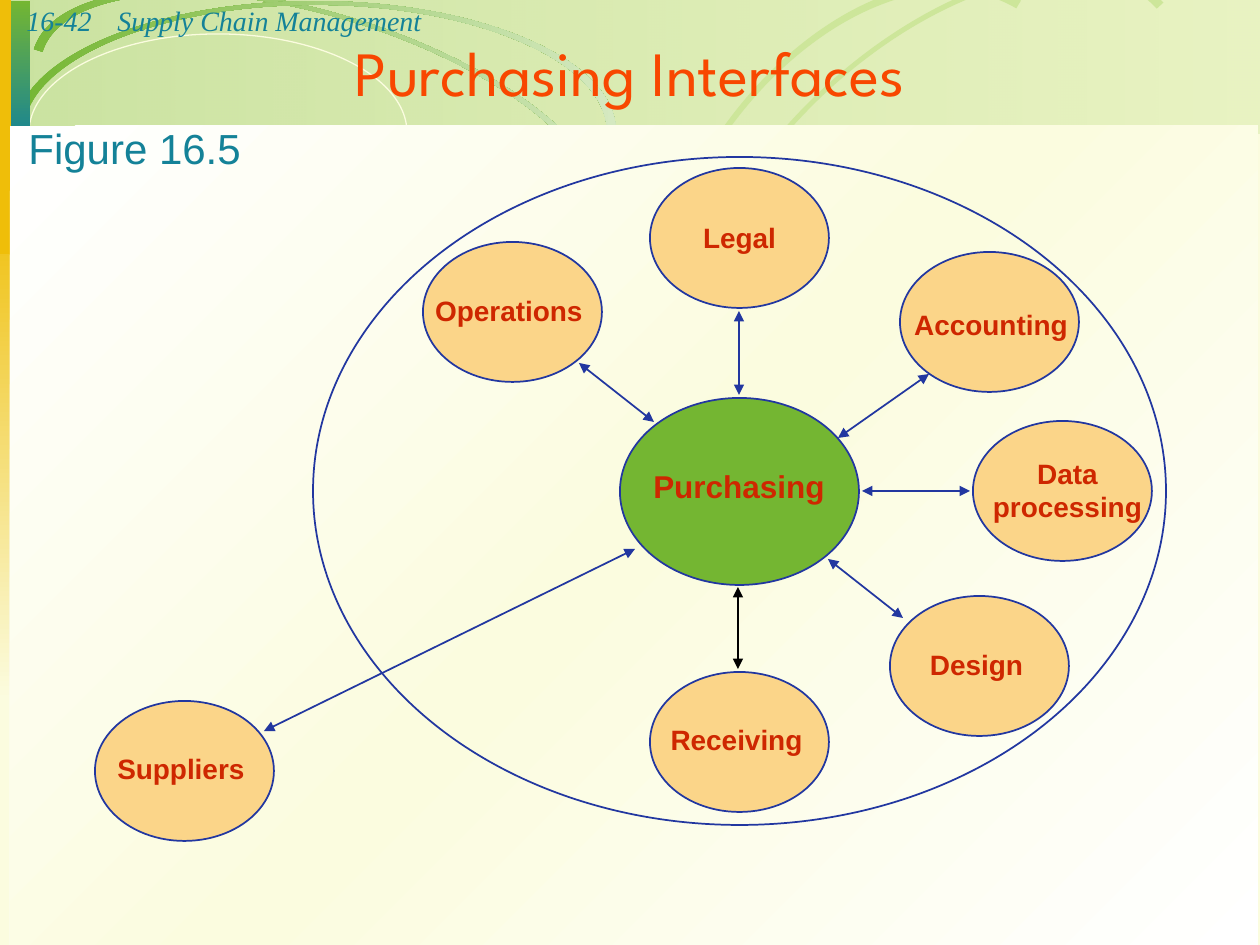
from dataclasses import dataclass

from lxml import etree
from pptx import Presentation
from pptx.dml.color import RGBColor
from pptx.enum.shapes import MSO_CONNECTOR, MSO_SHAPE
from pptx.enum.text import MSO_ANCHOR, MSO_AUTO_SIZE, PP_ALIGN
from pptx.oxml.ns import qn
from pptx.util import Emu, Pt

RECT, OVAL = MSO_SHAPE.RECTANGLE, MSO_SHAPE.OVAL
STRAIGHT = MSO_CONNECTOR.STRAIGHT
LEFT, CENTER = PP_ALIGN.LEFT, PP_ALIGN.CENTER
TOP, BOTTOM = MSO_ANCHOR.TOP, MSO_ANCHOR.BOTTOM
GROW, FIXED = MSO_AUTO_SIZE.SHAPE_TO_FIT_TEXT, MSO_AUTO_SIZE.NONE
EMU_PER_PX = 914400 / 126
KAPPA = 0.55
INNER_RATIO = 0.97


@dataclass(frozen=True)
class Theme:
    cream: str = "FBFCDF"
    white: str = "FFFFFF"
    black: str = "000000"
    green: str = "74B632"
    lime: str = "BCDD7B"
    mist: str = "D5E9C1"
    leaf: str = "CDE69A"
    pear: str = "CEDE73"
    teal: str = "148298"
    gold: str = "EFBE09"
    orange: str = "F84700"
    navy: str = "2237A0"
    peach: str = "FBD589"
    red: str = "CE2700"
    sans: str = "Arial"
    serif: str = "Times New Roman"
    display: str = "League Spartan"
    title_size: int = 36
    figure_size: int = 24
    hub_size: int = 18
    text_size: int = 16


def px(value):
    return Emu(round(value * EMU_PER_PX))


def blend(start, end):
    return [(0, start, 100), (100, end, 100)]


class Painter:
    def __init__(self, theme, slide):
        self.theme = theme
        self.slide = slide
        background = slide.background.fill
        background.solid()
        background.fore_color.rgb = RGBColor.from_string(theme.cream)

    def gradient(self, shape, stops, angle):
        shape.fill.gradient()
        grad = shape._element.spPr.find(qn("a:gradFill"))
        for child in list(grad):
            grad.remove(child)
        stop_list = etree.SubElement(grad, qn("a:gsLst"))
        for position, color, opacity in stops:
            stop = etree.SubElement(stop_list, qn("a:gs"), pos=str(position * 1000))
            clr = etree.SubElement(stop, qn("a:srgbClr"), val=color)
            if opacity < 100:
                etree.SubElement(clr, qn("a:alpha"), val=str(opacity * 1000))
        etree.SubElement(grad, qn("a:lin"), ang=str(angle * 60000), scaled="0")

    def paint(self, shape, fill=None, line=None, width=1, angle=0):
        shape.shadow.inherit = False
        if fill is None:
            shape.fill.background()
        elif isinstance(fill, str):
            shape.fill.solid()
            shape.fill.fore_color.rgb = RGBColor.from_string(fill)
        else:
            self.gradient(shape, fill, angle)
        if line:
            shape.line.color.rgb = RGBColor.from_string(line)
            shape.line.width = Pt(width)
        else:
            shape.line.fill.background()

    def shape(self, preset, box, **style):
        self.paint(self.slide.shapes.add_shape(preset, *map(px, box)), **style)

    def half_ring(self, box, rotation, **style):
        left, top, width, height = map(px, box)
        right, bottom = left + width, top + height
        builder = self.slide.shapes.build_freeform(left, top, scale=1.0)
        builder.add_line_segments([(right, top), (right, bottom), (left, bottom)])
        ring = builder.convert_to_shape()
        outline = ring._element.spPr.find(".//" + qn("a:path"))
        for step in list(outline):
            outline.remove(step)

        def add(command, *points):
            step = etree.SubElement(outline, qn(command))
            for x, y in points:
                etree.SubElement(step, qn("a:pt"), x=str(round((1 + x) * width / 2)),
                                 y=str(round((1 + y) * height / 2)))

        def arch(r, side):
            k = r * KAPPA
            add("a:cubicBezTo", (side * r, -k), (side * k, -r), (0, -r))
            add("a:cubicBezTo", (-side * k, -r), (-side * r, -k), (-side * r, 0))

        add("a:moveTo", (-INNER_RATIO, 0))
        arch(INNER_RATIO, -1)
        add("a:lnTo", (1, 0))
        arch(1, 1)
        add("a:close")
        ring.rotation = rotation
        self.paint(ring, **style)

    def text(self, box, lines, size, color, font, bold=False, italic=False,
             align=LEFT, anchor=TOP, wrap=False, fit=GROW):
        frame = self.slide.shapes.add_textbox(*map(px, box)).text_frame
        frame.word_wrap = wrap
        frame.auto_size = fit
        frame.vertical_anchor = anchor
        frame.text = lines
        for paragraph in frame.paragraphs:
            paragraph.alignment = align
            paragraph.font.size = Pt(size)
            paragraph.font.name = font
            paragraph.font.bold = bold
            paragraph.font.italic = italic
            paragraph.font.color.rgb = RGBColor.from_string(color)

    def node(self, box, fill, label, label_box, size):
        self.shape(OVAL, box, fill=fill, line=self.theme.navy)
        self.text(label_box, label, size, self.theme.red, self.theme.sans,
                  bold=True, align=CENTER)

    def arrow(self, start, end, color):
        link = self.slide.shapes.add_connector(STRAIGHT, *map(px, start + end))
        link.line.color.rgb = RGBColor.from_string(color)
        link.line.width = Pt(1)
        line = link.line._get_or_add_ln()
        for tip in ("a:headEnd", "a:tailEnd"):
            etree.SubElement(line, qn(tip), type="triangle")
        etree.SubElement(link._element.spPr, qn("a:effectLst"))


def draw_backdrop(painter):
    theme = painter.theme
    fade = blend(theme.green, theme.mist)
    painter.shape(RECT, (1, 0, 1260, 134),
                  fill=[(0, theme.green, 36), (100, theme.lime, 29)])
    painter.half_ring((20, 14, 601, 251), 17.5, fill=fade, angle=342)
    painter.shape(OVAL, (29, 34, 378, 197), line=theme.cream, width=0.75)
    painter.shape(RECT, (0, 195, 28, 505), fill=blend(theme.gold, theme.cream), angle=90)
    painter.half_ring((639, 40, 601, 326), 318.2, fill=theme.leaf)
    painter.half_ring((567, 66, 601, 386), 300.7, fill=theme.leaf)
    painter.half_ring((15, 1, 601, 261), 0, fill=fade)
    painter.shape(RECT, (1, 1, 29, 144), fill=blend(theme.green, theme.teal), angle=90)
    strips = [
        (10, 232, theme.teal, theme.pear),
        (239, 232, theme.pear, theme.gold),
        (470, 232, theme.gold, theme.orange),
        (699, 460, theme.orange, theme.cream),
    ]
    for left, width, start, end in strips:
        painter.shape(RECT, (left, 134, width, 10), fill=blend(start, end))
    painter.shape(RECT, (0, 0, 11, 254), fill=theme.gold)
    painter.shape(RECT, (10, 126, 1248, 819), angle=45,
                  fill=[(0, theme.white, 100), (50, theme.cream, 100), (100, theme.white, 100)])


def draw_headings(painter):
    theme = painter.theme
    for left, width, words in ((14, 141, "16-42"), (105, 1071, "Supply Chain Management")):
        painter.text((left, -3, width, 47), words, theme.text_size, theme.teal,
                     theme.serif, italic=True, wrap=True)
    painter.text((0, 38, 1260, 77), "Purchasing Interfaces", theme.title_size, theme.orange,
                 theme.display, align=CENTER, anchor=BOTTOM, wrap=True, fit=FIXED)


def draw_interfaces(painter):
    theme = painter.theme
    painter.shape(OVAL, (313, 157, 853, 668), line=theme.navy)
    painter.node((620, 398, 239, 187), theme.green, "Purchasing",
                 (640, 461, 198, 50), theme.hub_size)
    departments = [
        ("Legal", (650, 168), (690, 214, 99, 45)),
        ("Accounting", (900, 252), (901, 301, 180, 45)),
        ("Operations", (423, 242), (422, 287, 174, 45)),
        ("Data\nprocessing", (973, 421), (980, 450, 175, 79)),
        ("Design", (890, 596), (917, 641, 119, 45)),
        ("Receiving", (650, 672), (657, 716, 159, 45)),
        ("Suppliers", (95, 701), (104, 745, 154, 45)),
    ]
    for label, corner, label_box in departments:
        painter.node(corner + (179, 140), theme.peach, label, label_box, theme.text_size)
    links = [
        ((264, 731), (635, 549), theme.navy),
        ((739, 311), (739, 395), theme.navy),
        ((929, 374), (838, 438), theme.navy),
        ((579, 363), (654, 422), theme.navy),
        ((862, 491), (970, 491), theme.navy),
        ((738, 587), (738, 669), theme.black),
        ((828, 559), (903, 618), theme.navy),
    ]
    for start, end, color in links:
        painter.arrow(start, end, color)
    painter.text((16, 116, 239, 63), "Figure 16.5", theme.figure_size, theme.teal, theme.sans)


def main():
    deck = Presentation()
    deck.slide_width, deck.slide_height = px(1260), px(945)
    painter = Painter(Theme(), deck.slides.add_slide(deck.slide_layouts[6]))
    draw_backdrop(painter)
    draw_headings(painter)
    draw_interfaces(painter)
    deck.save("out.pptx")


if __name__ == "__main__":
    main()
